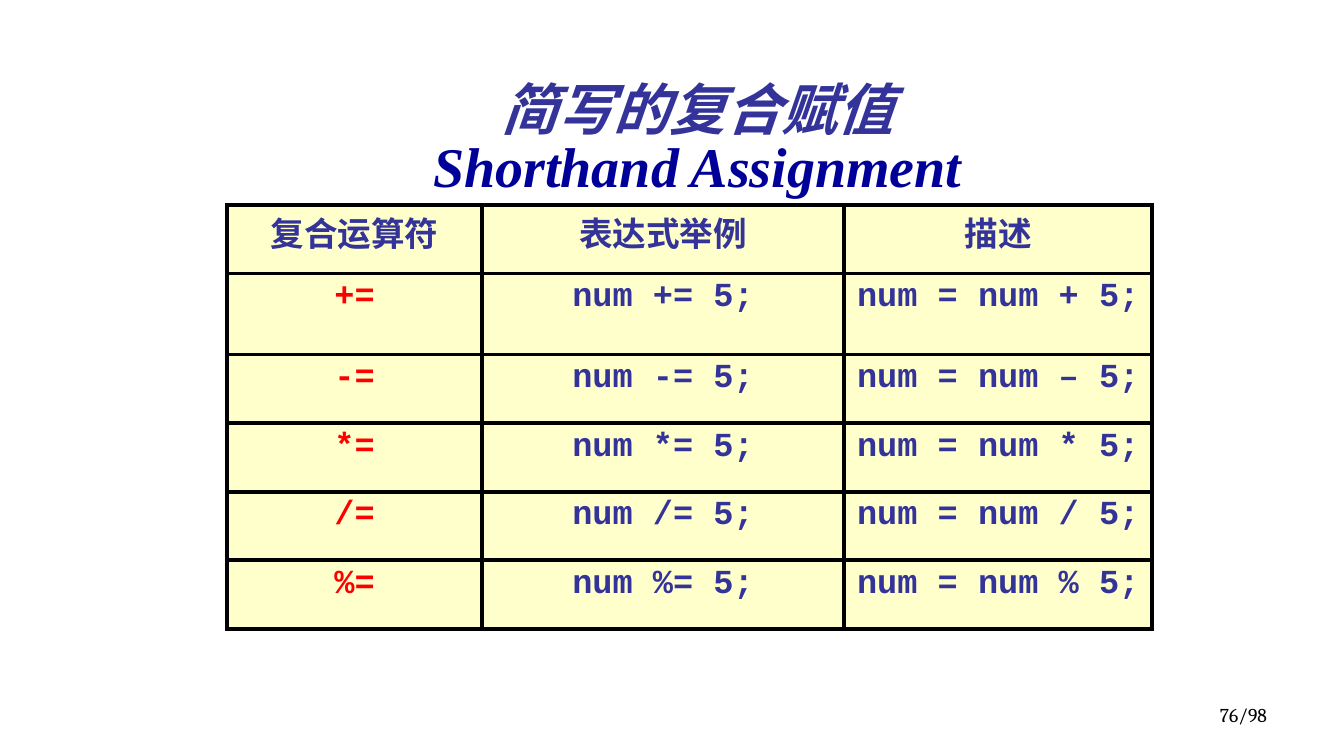
from dataclasses import dataclass
from lxml.etree import SubElement as Sub
from pptx import Presentation as Deck
from pptx.dml.color import RGBColor as Rgb
from pptx.enum.text import MSO_ANCHOR as Anchor, PP_ALIGN as Align
from pptx.oxml.ns import qn
from pptx.util import Cm, Pt


@dataclass(frozen=True)
class Theme:
    ink: str = "333399"
    navy: str = "000099"
    red: str = "FF0000"
    black: str = "000000"
    cream: str = "FFFFCC"
    gray: str = "808080"
    title: int = 40
    body: int = 24
    foot: int = 14
    rule: int = 3
    serif: str = "Times New Roman"
    mono: str = "Courier New"
    page: str = "Cambria"


class Page:
    def __init__(self, deck, theme):
        self.theme = theme
        self.slide = deck.slides.add_slide(deck.slide_layouts[6])

    def run(self, para, text, color, **style):
        run = para.add_run()
        run.text = text
        for key, val in style.items():
            setattr(run.font, key, val)
        run.font.color.rgb = Rgb.from_string(color)
        return run

    def box(self, area, align, anchor=Anchor.TOP, space=1.0):
        frame = self.slide.shapes.add_textbox(*map(Cm, area)).text_frame
        frame.word_wrap = True
        frame.vertical_anchor = anchor
        para = frame.paragraphs[0]
        para.alignment, para.line_spacing = align, space
        return para

    def shade(self, run):
        fill = run.font._element.find(qn("a:solidFill"))
        fx = Sub(run.font._element, qn("a:effectLst"))
        fill.addnext(fx)
        cast = Sub(fx, qn("a:outerShdw"), dist=str(Pt(3)), dir="2700000")
        Sub(cast, qn("a:srgbClr"), val=self.theme.gray)

    def title(self, area, lines):
        para = self.box(area, Align.CENTER, Anchor.BOTTOM, 0.85)
        style = {"name": self.theme.serif, "size": Pt(self.theme.title),
                 "bold": True, "italic": True}
        for i, (text, color) in enumerate(lines):
            if i:
                para.add_line_break()
            self.shade(self.run(para, text, color, **style))

    def foot(self, area, text):
        para = self.box(area, Align.RIGHT)
        self.run(para, text, self.theme.black,
                 name=self.theme.page, size=Pt(self.theme.foot))

    def cell(self, cell, text, color, font):
        # Borders come before the fill in the cell properties
        props = cell._tc.get_or_add_tcPr()
        for side in "LRTB":
            line = Sub(props, qn("a:ln" + side), w=str(Pt(self.theme.rule)))
            fill = Sub(line, qn("a:solidFill"))
            Sub(fill, qn("a:srgbClr"), val=self.theme.black)
        cell.fill.solid()
        cell.fill.fore_color.rgb = Rgb.from_string(self.theme.cream)
        para = cell.text_frame.paragraphs[0]
        para.alignment, para.line_spacing = Align.CENTER, 0.95
        self.run(para, text, color, name=font,
                 size=Pt(self.theme.body), bold=True)

    def table(self, left, top, wides, highs, rows):
        area = (left, top, sum(wides), sum(highs))
        grid = self.slide.shapes.add_table(
            len(rows), len(wides), *map(Cm, area)).table
        grid.first_row = grid.horz_banding = False
        for col, wide in zip(grid.columns, wides):
            col.width = Cm(wide)
        for row, high in zip(grid.rows, highs):
            row.height = Cm(high)
        for r, row in enumerate(rows):
            for c, text in enumerate(row):
                color = self.theme.red if r and not c else self.theme.ink
                font = self.theme.mono if r else self.theme.serif
                self.cell(grid.cell(r, c), text, color, font)


def main():
    deck = Deck()
    deck.slide_width, deck.slide_height = Cm(33.87), Cm(19.05)
    theme = Theme()
    page = Page(deck, theme)

    # Page number
    page.foot((24.28, 17.6, 7.9, 1.32), "76/98")

    # Operator table: sign, example, meaning
    signs = [("+=", "+"), ("-=", "–"), ("*=", "*"), ("/=", "/"), ("%=", "%")]
    rows = [("复合运算符", "表达式举例", "描述")]
    rows += [(sign, f"num {sign} 5;", f"num = num {op} 5;")
             for sign, op in signs]
    highs = [1.73, 2.04] + [1.73] * 4
    page.table(5.72, 5.16, (6.43, 9.12, 7.77), highs, rows)

    # Title
    page.title((6.78, 2.59, 21.59, 2.54),
               [("简写的复合赋值", theme.ink),
                ("Shorthand Assignment", theme.navy)])

    deck.save("out.pptx")


if __name__ == "__main__":
    main()
